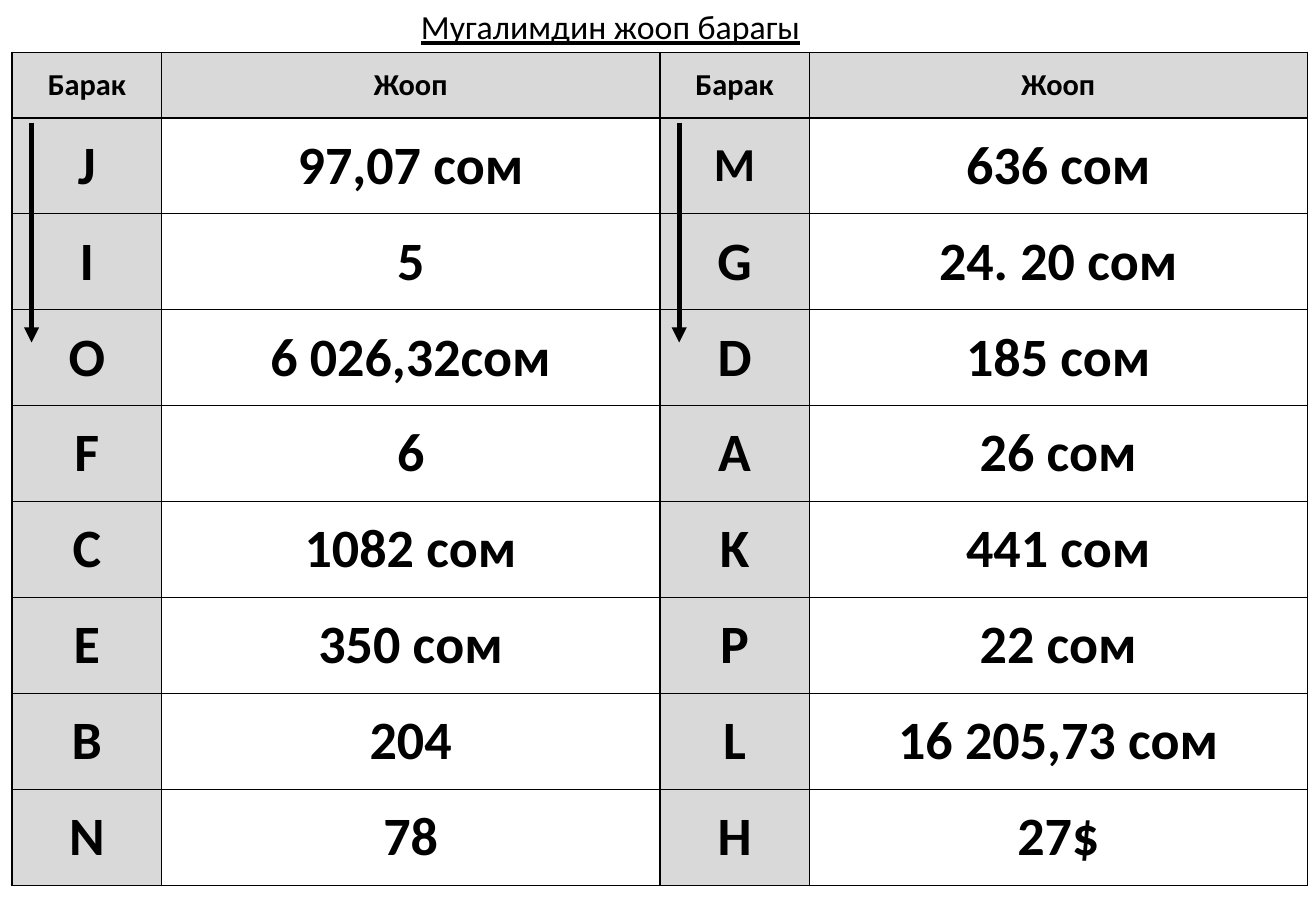
from dataclasses import dataclass

import pptx
import pptx.dml.color
import pptx.enum.shapes
import pptx.enum.text
import pptx.oxml
import pptx.oxml.ns
import pptx.util

PX = 9144  # EMU per px, 100 px to the inch


@dataclass(frozen=True)
class Theme:
    font: str = "Calibri"
    ink: str = "000000"
    shade: str = "D9D9D9"
    paper: str = "FFFFFF"
    title: int = 20
    header: int = 18
    body: int = 32
    small_letter: int = 28
    border: int = 1
    arrow: int = 3


def px(n):
    return pptx.util.Emu(n * PX)


def rgb(color):
    return pptx.dml.color.RGBColor.from_string(color)


def xml(markup):
    return pptx.oxml.parse_xml(
        markup.replace(" ", f" {pptx.oxml.ns.nsdecls('a')} ", 1))


def write(tf, text, *, font, size, color, bold=False, underline=False):
    p = tf.paragraphs[0]
    p.alignment = pptx.enum.text.PP_ALIGN.CENTER
    r = p.add_run()
    r.text = text
    r.font.name = font
    r.font.size = pptx.util.Pt(size)
    r.font.color.rgb = rgb(color)
    r.font.bold = bold
    r.font.underline = underline


class AnswerSheet:
    def __init__(self, prs, theme):
        self.theme = theme
        self.s = prs.slides.add_slide(prs.slide_layouts[6])

    def title(self, text, x, y, w, h):
        tf = self.s.shapes.add_textbox(px(x), px(y), px(w), px(h)).text_frame
        tf.word_wrap = False
        write(tf, text, font=self.theme.font, size=self.theme.title,
              color=self.theme.ink, underline=True)

    def cell(self, cell, text, size, fill):
        tcPr = cell._tc.get_or_add_tcPr()
        width = pptx.util.Pt(self.theme.border)
        for side in "LRTB":
            tcPr.append(xml(
                f'<a:ln{side} w="{width}"><a:solidFill><a:srgbClr val="{self.theme.ink}"/>'
                f'</a:solidFill></a:ln{side}>'))
        cell.fill.solid()
        cell.fill.fore_color.rgb = rgb(fill)
        cell.vertical_anchor = pptx.enum.text.MSO_ANCHOR.MIDDLE
        write(cell.text_frame, text, font=self.theme.font, size=size,
              color=self.theme.ink, bold=True)

    def table(self, rows, x, y, widths, heights):
        """Shade the header row and the letter columns."""
        t = self.theme
        table = self.s.shapes.add_table(
            len(rows), len(widths), px(x), px(y),
            px(sum(widths)), px(sum(heights))).table
        for column, w in zip(table.columns, widths):
            column.width = px(w)
        for row, h in zip(table.rows, heights):
            row.height = px(h)
        for i, row in enumerate(rows):
            for j, text in enumerate(row):
                size = t.header if i == 0 else t.small_letter if text == "M" else t.body
                fill = t.shade if i == 0 or j % 2 == 0 else t.paper
                self.cell(table.cell(i, j), text, size, fill)

    def down_arrow(self, x, top, bottom):
        sp = self.s.shapes.add_connector(
            pptx.enum.shapes.MSO_CONNECTOR.STRAIGHT, px(x), px(top), px(x), px(bottom))
        sp.line.color.rgb = rgb(self.theme.ink)
        sp.line.width = pptx.util.Pt(self.theme.arrow)
        sp.line._get_or_add_ln().append(xml('<a:tailEnd type="triangle"/>'))
        sp._element.spPr.append(xml("<a:effectLst />"))


HEADER = ("Барак", "Жооп")
LEFT = [HEADER, ("J", "97,07 сом"), ("I", "5"), ("O", "6 026,32сом"), ("F", "6"),
        ("C", "1082 сом"), ("E", "350 сом"), ("B", "204"), ("N", "78")]
RIGHT = [HEADER, ("M", "636 сом"), ("G", "24. 20 сом"), ("D", "185 сом"),
         ("A", "26 сом"), ("K", "441 сом"), ("P", "22 сом"),
         ("L", "16 205,73 сом"), ("H", "27$")]
PAIR_WIDTHS = [123, 410]


def main():
    prs = pptx.Presentation()
    prs.slide_width, prs.slide_height = px(1083), px(750)
    sheet = AnswerSheet(prs, Theme())
    rows = [left + right for left, right in zip(LEFT, RIGHT)]
    table_x = 10
    sheet.table(rows, table_x, 43, PAIR_WIDTHS * 2, [54] + [79] * (len(rows) - 1))
    sheet.title("Мугалимдин жооп барагы", 335, 0, 335, 44)
    for pair in range(2):
        sheet.down_arrow(table_x + 16 + pair * sum(PAIR_WIDTHS), 101, 282)
    prs.save("out.pptx")


if __name__ == "__main__":
    main()
